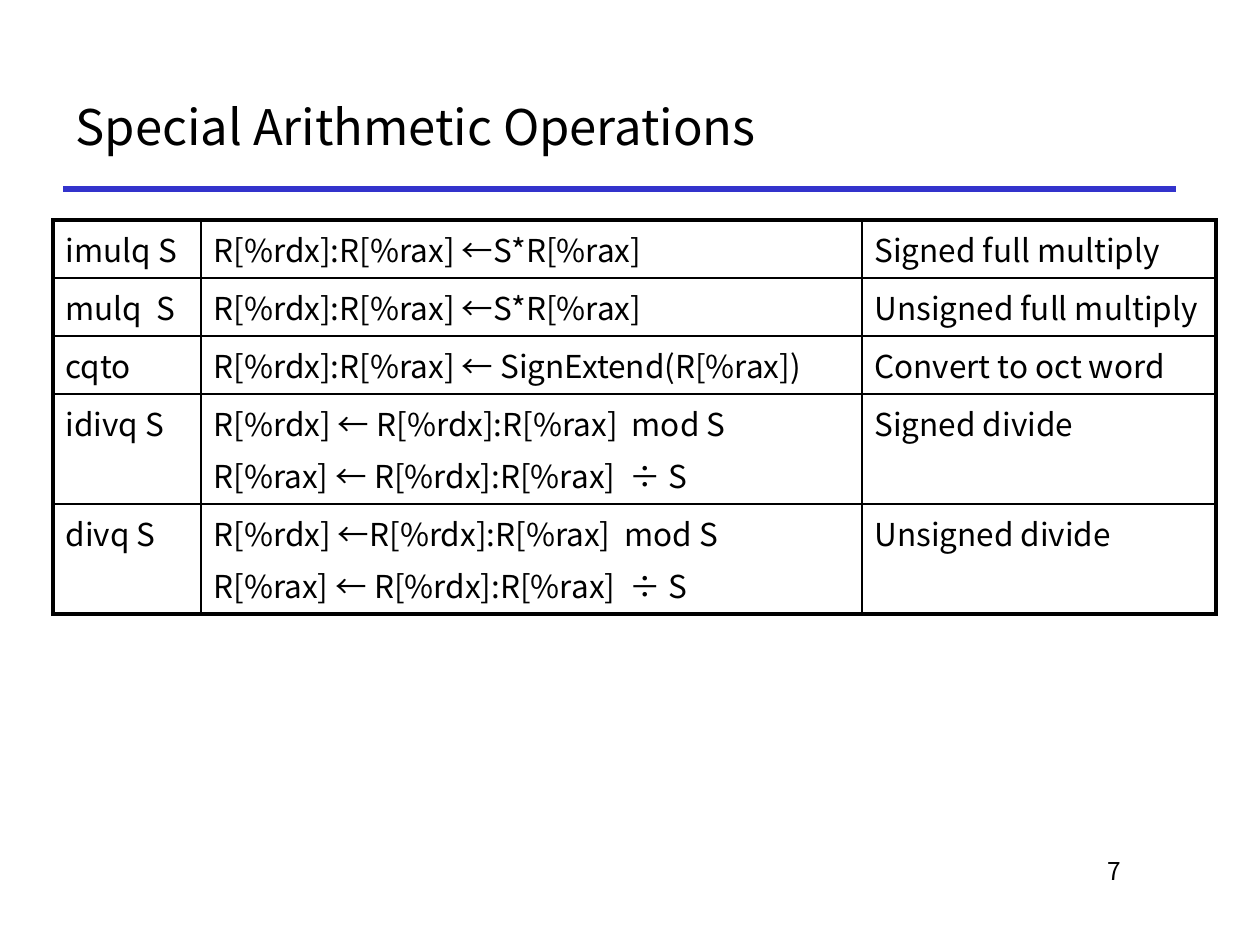
import dataclasses

import pptx
import pptx.dml.color
import pptx.enum.shapes
import pptx.enum.text
import pptx.oxml
import pptx.oxml.ns
import pptx.util

SCALE = 914400 / 126


@dataclasses.dataclass(frozen=True)
class Theme:
    font: str = "Noto Sans CJK KR"
    ink: str = "000000"
    paper: str = "FFFFFF"
    accent: str = "3333CC"
    title_size: int = 28
    cell_size: int = 18
    number_size: int = 14
    paragraph_gap: float = 3.6
    rule_width: float = 3
    outer_border: float = 2.25
    inner_border: float = 1


def px(length):
    return pptx.util.Emu(round(length * SCALE))


def rgb(value):
    return pptx.dml.color.RGBColor.from_string(value)


class SlideBuilder:
    def __init__(self, slide, theme):
        self.slide = slide
        self.theme = theme

    def add_lines(self, frame, lines, size, align=pptx.enum.text.PP_ALIGN.LEFT):
        for index, line in enumerate(lines):
            paragraph = frame.add_paragraph() if index else frame.paragraphs[0]
            paragraph.alignment = align
            if index:
                paragraph.space_before = pptx.util.Pt(self.theme.paragraph_gap)
            run = paragraph.add_run()
            run.text = line
            run.font.size = pptx.util.Pt(size)
            run.font.name = self.theme.font
            run.font.color.rgb = rgb(self.theme.ink)
            east_asian = pptx.oxml.parse_xml(
                f'<a:ea {pptx.oxml.ns.nsdecls("a")} typeface="{self.theme.font}"/>')
            run.font._element.find(pptx.oxml.ns.qn("a:latin")).addnext(east_asian)

    def title(self, text, left, top, width, height):
        heading = self.slide.shapes.title
        heading.left, heading.top = px(left), px(top)
        heading.width, heading.height = px(width), px(height)
        frame = heading.text_frame
        frame.auto_size = pptx.enum.text.MSO_AUTO_SIZE.NONE
        frame.vertical_anchor = pptx.enum.text.MSO_ANCHOR.MIDDLE
        self.add_lines(frame, [text], self.theme.title_size)

    def rule(self, left, right, y):
        line = self.slide.shapes.add_connector(
            pptx.enum.shapes.MSO_CONNECTOR.STRAIGHT, px(left), px(y), px(right), px(y))
        line.line.color.rgb = rgb(self.theme.accent)
        line.line.width = pptx.util.Pt(self.theme.rule_width)
        line._element.spPr.append(
            pptx.oxml.parse_xml(f'<a:effectLst {pptx.oxml.ns.nsdecls("a")}/>'))

    def page_number(self, text, left, top, width, height):
        frame = self.slide.shapes.add_textbox(
            px(left), px(top), px(width), px(height)).text_frame
        frame.word_wrap = True
        self.add_lines(frame, [text], self.theme.number_size, pptx.enum.text.PP_ALIGN.RIGHT)

    def borders(self, cell, outer_sides):
        properties = cell._tc.get_or_add_tcPr()
        for side in "LRTB":
            points = self.theme.outer_border if side in outer_sides else self.theme.inner_border
            properties.append(pptx.oxml.parse_xml(
                f'<a:ln{side} {pptx.oxml.ns.nsdecls("a")} w="{pptx.util.Pt(points)}">'
                f'<a:solidFill><a:srgbClr val="{self.theme.ink}"/></a:solidFill></a:ln{side}>'))

    def table(self, rows, left, top, widths, heights):
        grid = self.slide.shapes.add_table(
            len(rows), len(widths), px(left), px(top),
            px(sum(widths)), px(sum(heights))).table
        grid.first_row = grid.horz_banding = False
        for column, width in zip(grid.columns, widths):
            column.width = px(width)
        for row, height in zip(grid.rows, heights):
            row.height = px(height)
        last_row, last_column = len(rows) - 1, len(widths) - 1
        for r, row in enumerate(rows):
            for c, lines in enumerate(row):
                cell = grid.cell(r, c)
                edges = {"L": c == 0, "R": c == last_column, "T": r == 0, "B": r == last_row}
                self.borders(cell, [side for side, outer in edges.items() if outer])
                cell.fill.solid()
                cell.fill.fore_color.rgb = rgb(self.theme.paper)
                self.add_lines(cell.text_frame, lines, self.theme.cell_size)


def main():
    deck = pptx.Presentation()
    deck.slide_width, deck.slide_height = px(1260), px(945)
    builder = SlideBuilder(deck.slides.add_slide(deck.slide_layouts[5]), Theme())

    multiply = "R[%rdx]:R[%rax] ←S*R[%rax]"
    quotient = "R[%rax] ← R[%rdx]:R[%rax]  ÷ S"
    operations = [
        (["imulq S"], [multiply], ["Signed full multiply"]),
        (["mulq  S"], [multiply], ["Unsigned full multiply"]),
        (["cqto"], ["R[%rdx]:R[%rax] ← SignExtend(R[%rax])"], ["Convert to oct word"]),
        (["idivq S"], ["R[%rdx] ← R[%rdx]:R[%rax]  mod S", quotient], ["Signed divide"]),
        (["divq S"], ["R[%rdx] ←R[%rdx]:R[%rax]  mod S", quotient], ["Unsigned divide"]),
    ]

    builder.rule(63, 1176, 189)
    builder.page_number("7", 955, 850, 179, 63)
    builder.title("Special Arithmetic Operations", 63, 63, 1113, 126)
    builder.table(operations, 53, 220, [148, 661, 354], [58] * 3 + [110] * 2)
    deck.save("out.pptx")


if __name__ == "__main__":
    main()
